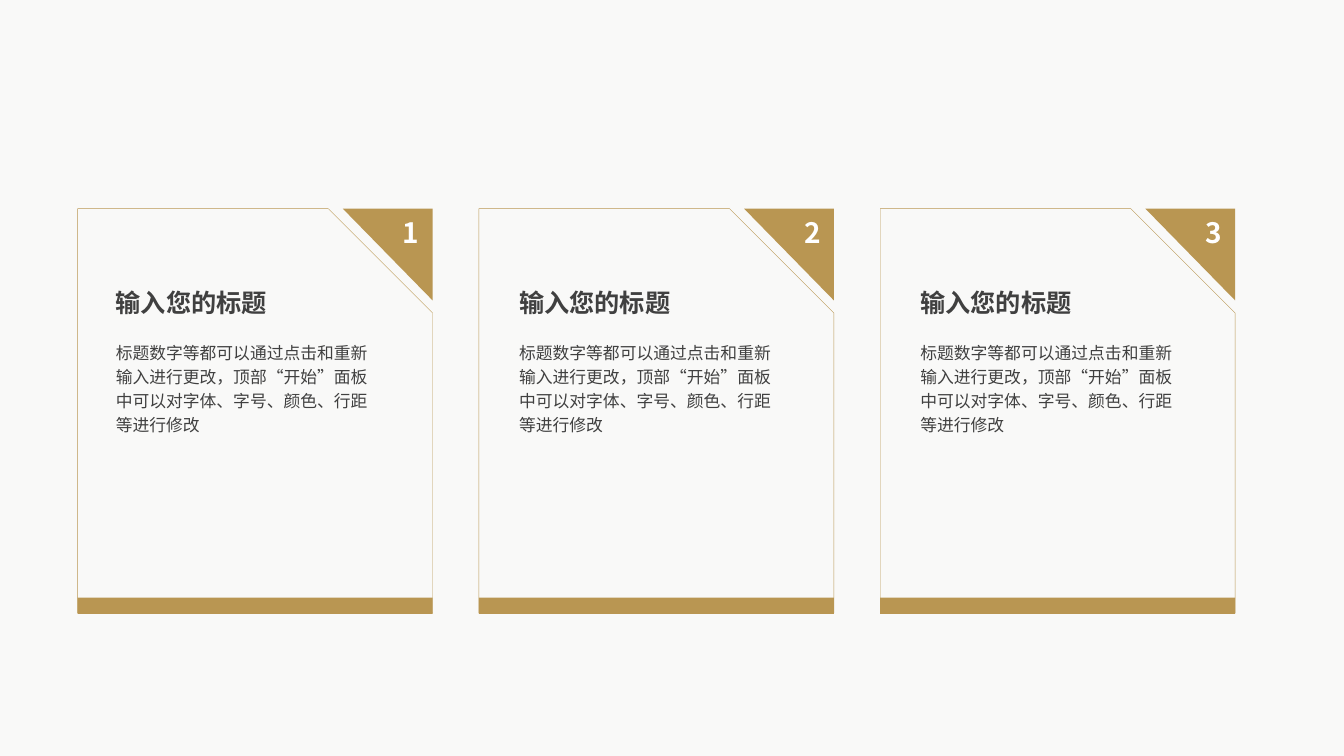
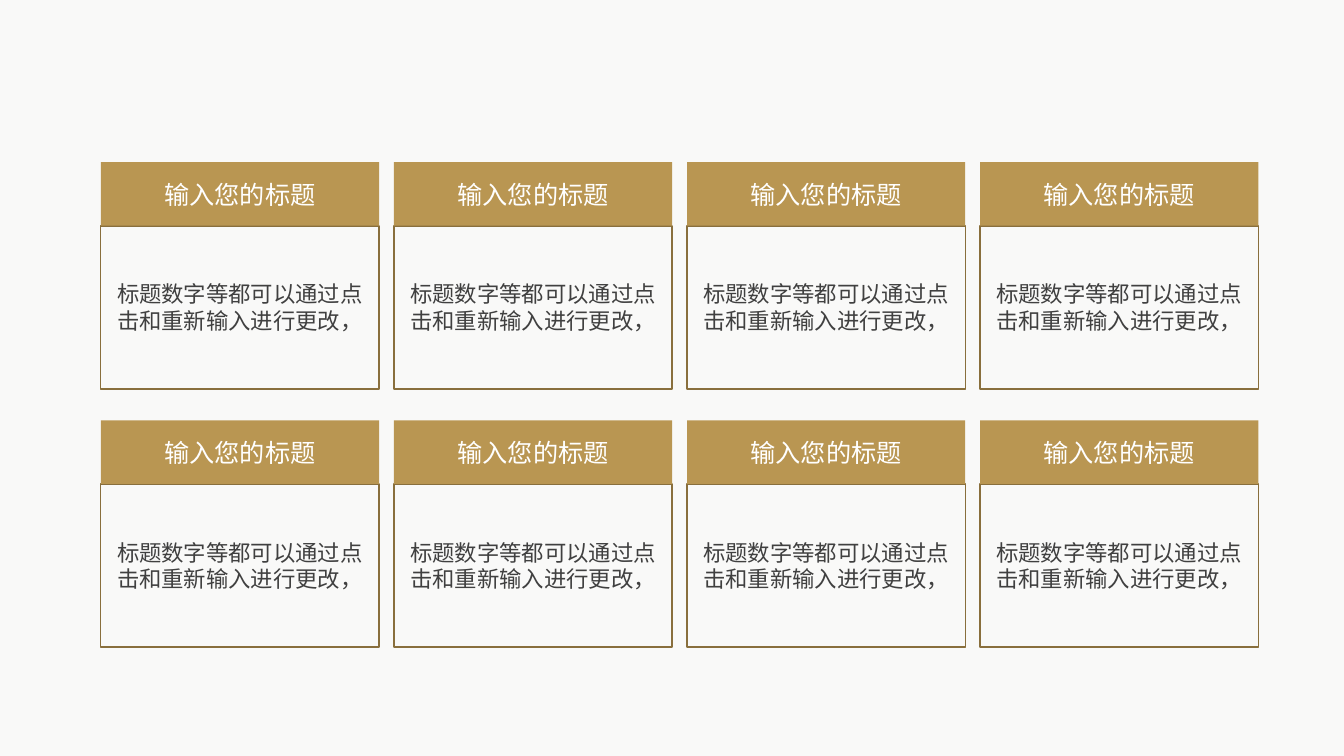
"""Build two slides of gold cards: three numbered panels and a grid of eight boxes."""
from lxml import etree
from pptx import Presentation
from pptx.dml.color import RGBColor
from pptx.enum.shapes import MSO_SHAPE
from pptx.enum.text import MSO_ANCHOR, MSO_AUTO_SIZE, PP_ALIGN
from pptx.oxml.ns import qn
from pptx.util import Inches, Pt

RECT, SNIP = MSO_SHAPE.RECTANGLE, MSO_SHAPE.SNIP_1_RECTANGLE
TOP, MIDDLE = MSO_ANCHOR.TOP, MSO_ANCHOR.MIDDLE
FIT_TEXT = MSO_AUTO_SIZE.SHAPE_TO_FIT_TEXT
LEFT, CENTER, RIGHT, JUSTIFY = PP_ALIGN.LEFT, PP_ALIGN.CENTER, PP_ALIGN.RIGHT, PP_ALIGN.JUSTIFY

GOLD = RGBColor(0xB9, 0x96, 0x52)
BROWN = RGBColor(0x89, 0x6F, 0x3D)
DARK = RGBColor(0x40, 0x40, 0x40)
WHITE = RGBColor(0xFF, 0xFF, 0xFF)
PAPER = RGBColor(0xF9, 0xF9, 0xF8)
FONT = "Noto Sans CJK SC"

TITLE = "输入您的标题"
BODY = "标题数字等都可以通过点击和重新输入进行更改，"
LONG_BODY = BODY + "顶部“开始”面板中可以对字体、字号、颜色、行距等进行修改"


def style(sp, fill=None, line=None, width=1):
    """Give a shape its fill and outline, without shadow."""
    sp.shadow.inherit = False
    if fill is None:
        sp.fill.background()
    else:
        sp.fill.solid()
        sp.fill.fore_color.rgb = fill
    if line is None:
        sp.line.fill.background()
    else:
        sp.line.color.rgb = line
        sp.line.width = Pt(width)


def write(sp, text, size, color, align, anchor=TOP, bold=False, spacing=None):
    """Put one styled paragraph into a shape."""
    tf = sp.text_frame
    tf.word_wrap = True
    tf.vertical_anchor = anchor
    p = tf.paragraphs[0]
    p.text = text
    p.alignment = align
    if spacing:
        p.line_spacing = spacing
    p.font.size = Pt(size)
    p.font.bold = bold
    p.font.color.rgb = color
    p.font.name = FONT
    etree.SubElement(p._p.pPr.find(qn("a:defRPr")), qn("a:ea"), typeface=FONT)


prs = Presentation()
prs.slide_width, prs.slide_height = Inches(13.33), Inches(7.5)
paper = prs.slide_master.background.fill
paper.solid()
paper.fore_color.rgb = PAPER
blank = prs.slide_layouts[6]

s = prs.slides.add_slide(blank)
card_w, card_top = 3.52, 2.07
for i, text_x in enumerate((1.05, 5.05, 9.03)):
    x = 0.77 + i * 3.98
    right = x + card_w

    card = s.shapes.add_shape(SNIP, Inches(x), Inches(card_top), Inches(card_w), Inches(4.01))
    card.adjustments[0] = 0.294
    style(card, line=GOLD, width=0.25)

    band = s.shapes.add_shape(RECT, Inches(x), Inches(5.93), Inches(card_w), Inches(0.16))
    style(band, fill=GOLD)

    outline = s.shapes.build_freeform(Inches(right), Inches(card_top))
    outline.add_line_segments([(Inches(right - 0.89), Inches(card_top)),
                               (Inches(right), Inches(card_top + 0.91))])
    corner = outline.convert_to_shape()
    style(corner, fill=GOLD)
    write(corner, str(i + 1), 20, WHITE, RIGHT, bold=True)
    tf = corner.text_frame
    tf.margin_left = tf.margin_right = Inches(0.13)
    tf.margin_top = tf.margin_bottom = Inches(0.07)

    body = s.shapes.add_textbox(Inches(text_x), Inches(3.31), Inches(2.83), Inches(1.07))
    write(body, LONG_BODY, 12, DARK, LEFT, spacing=1.2)
    title = s.shapes.add_textbox(Inches(text_x), Inches(2.74), Inches(2.44), Inches(0.43))
    write(title, TITLE, 18, DARK, JUSTIFY, bold=True, spacing=1.2)
    for box in (body, title):
        box.text_frame.auto_size = FIT_TEXT

s = prs.slides.add_slide(blank)
box_w, head_h, body_h = Inches(2.76), Inches(0.63), Inches(1.62)
for y in (1.61, 4.17):
    for col in range(4):
        x = Inches(1 + col * 2.907)
        body = s.shapes.add_shape(RECT, x, Inches(y) + head_h, box_w, body_h)
        style(body, line=BROWN)
        write(body, BODY, 16, DARK, CENTER, MIDDLE)
        head = s.shapes.add_shape(RECT, x, Inches(y), box_w, head_h)
        style(head, fill=GOLD)
        write(head, TITLE, 18, WHITE, CENTER, MIDDLE)

prs.save("out.pptx")
